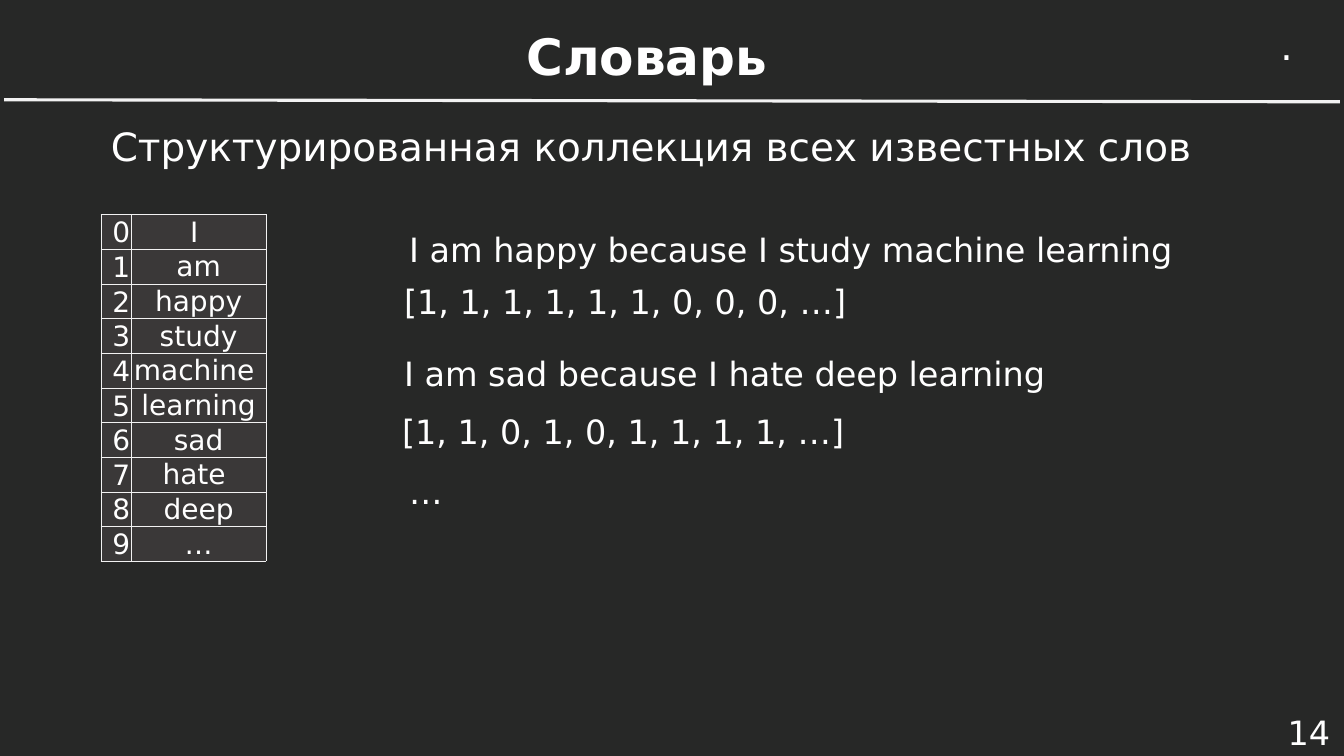
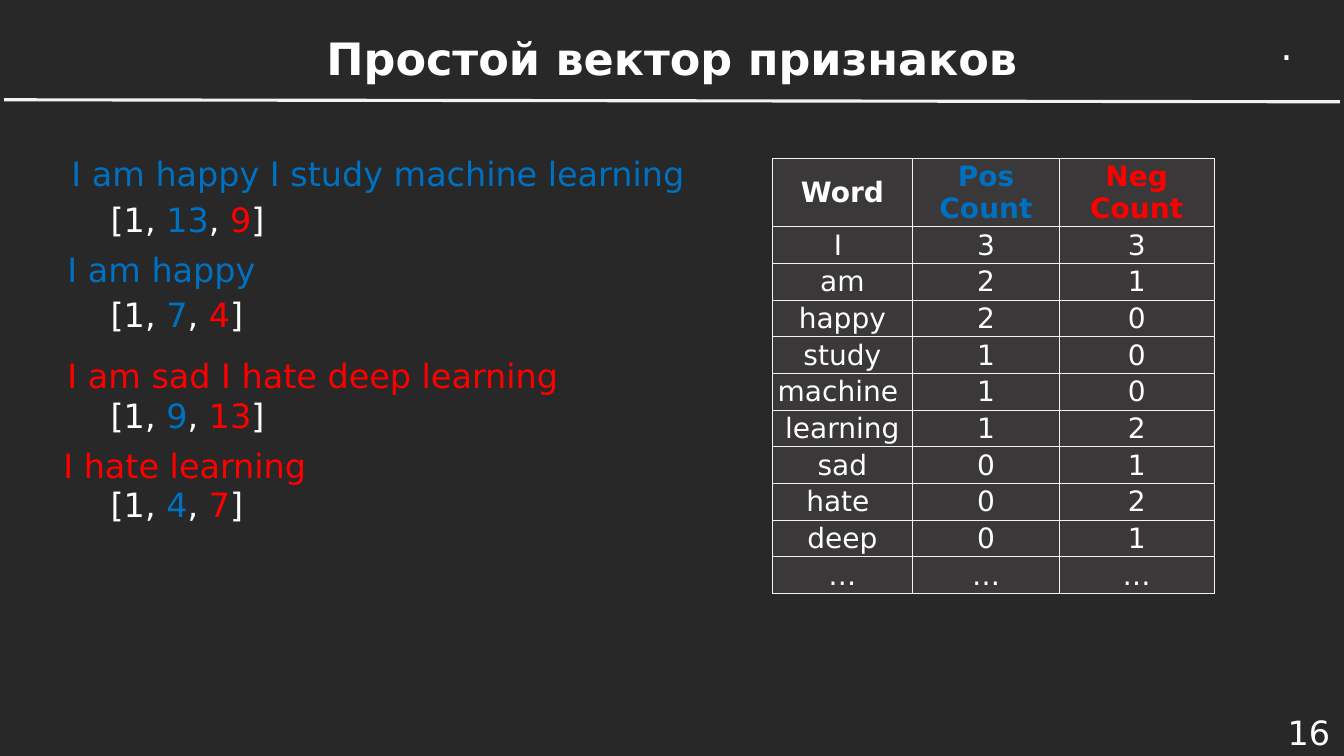
from lxml.etree import SubElement
from pptx import Presentation
from pptx.dml.color import RGBColor
from pptx.enum.shapes import MSO_CONNECTOR as Connector
from pptx.enum.text import MSO_ANCHOR as Anchor, PP_ALIGN as Align
from pptx.oxml.ns import qn
from pptx.util import Inches, Pt

COLORS = {
    "background": "272827",
    "cell": "3A3838",
    "rule": "F2F2F2",
    "text": "FFFFFF",
    "positive": "0070C0",
    "negative": "FF0000",
}
FONT = "DejaVu Sans"
BODY_SIZE, LEAD_SIZE, TABLE_SIZE = 23.9, 27.8, 20
LINE_HEIGHT = 0.5
WORDS = ["I ", "am", "happy", "study", "machine ", "learning",
         "sad", "hate ", "deep", "…"]


def rgb(name):
    return RGBColor.from_string(COLORS[name])


def add_span(para, text, size, color="text", bold=False):
    span = para.add_run()
    span.text = text
    font = span.font
    font.name, font.size, font.bold = FONT, Pt(size), bold
    font.color.rgb = rgb(color)


def add_text(page, box, spans, size=BODY_SIZE, align=Align.LEFT,
             anchor=Anchor.TOP, bold=False, wrap=True):
    """Place one paragraph of (text, colour) spans in a box."""
    frame = page.shapes.add_textbox(*map(Inches, box)).text_frame
    frame.word_wrap = wrap
    frame.vertical_anchor = anchor
    para = frame.paragraphs[0]
    para.alignment = align
    for text, color in spans:
        add_span(para, text, size, color, bold)


def add_page(deck, title, title_box, title_size, number):
    """Add a slide with the shared background, title, rule and number."""
    page = deck.slides.add_slide(deck.slide_layouts[6])
    page.background.fill.solid()
    page.background.fill.fore_color.rgb = rgb("background")
    add_text(page, title_box, [(title, "text")], title_size,
             Align.CENTER, Anchor.MIDDLE, bold=True)
    add_text(page, (12.25, 7.05, 1.04, 0.42), [(number, "text")],
             align=Align.RIGHT, anchor=Anchor.MIDDLE)
    # Rule below the title
    rule = page.shapes.add_connector(
        Connector.STRAIGHT, *map(Inches, (0.04, 0.99, 13.29, 1.01)))
    rule.line.color.rgb = rgb("rule")
    rule.line.width = Pt(2.25)
    SubElement(rule._element.spPr, qn("a:effectLst"))
    # Dot in the corner
    add_text(page, (12.6, 0.17, 0.34, 0.57), [(".", "text")], LEAD_SIZE,
             wrap=False)
    return page


def style_cell(cell, text, color="text", bold=False, align=Align.CENTER,
               anchor=Anchor.MIDDLE):
    cell.margin_left = cell.margin_right = cell.margin_top = Inches(0.01)
    cell.margin_bottom = 0
    cell.vertical_anchor = anchor
    # Borders come before the fill in the cell properties
    properties = cell._tc.get_or_add_tcPr()
    for side in ("a:lnL", "a:lnR", "a:lnT", "a:lnB"):
        border = SubElement(properties, qn(side), w=str(Pt(0.5)))
        paint = SubElement(border, qn("a:solidFill"))
        SubElement(paint, qn("a:srgbClr"), val=COLORS["rule"])
    cell.fill.solid()
    cell.fill.fore_color.rgb = rgb("cell")
    frame = cell.text_frame
    for index, line in enumerate(text.split("\n")):
        para = frame.add_paragraph() if index else frame.paragraphs[0]
        para.alignment = align
        add_span(para, line, TABLE_SIZE, color, bold)


def add_grid(page, left, top, widths, heights):
    """Add an unstyled table with the given column and row sizes."""
    box = (left, top, sum(widths), sum(heights))
    table = page.shapes.add_table(
        len(heights), len(widths), *map(Inches, box)).table
    table.first_row = table.horz_banding = False
    for column, width in zip(table.columns, widths):
        column.width = Inches(width)
    for row, height in zip(table.rows, heights):
        row.height = Inches(height)
    return table


def add_vocabulary(page, left, top, height):
    row_height = height / len(WORDS)
    table = add_grid(page, left, top, [0.3, 1.34], [row_height] * len(WORDS))
    for index, word in enumerate(WORDS):
        style_cell(table.cell(index, 0), str(index), align=Align.RIGHT,
                   anchor=Anchor.BOTTOM)
        style_cell(table.cell(index, 1), word)


def add_counts(page, left, top, height, header_height=0.67):
    headers = [("Word", "text"), ("Pos\nCount", "positive"),
               ("Neg\nCount", "negative")]
    positive, negative = "322111000…", "310002121…"
    row_height = (height - header_height) / len(WORDS)
    table = add_grid(page, left, top, [1.39, 1.46, 1.53],
                     [header_height] + [row_height] * len(WORDS))
    for column, (text, color) in enumerate(headers):
        style_cell(table.cell(0, column), text, color, bold=True)
    for row, values in enumerate(zip(WORDS, positive, negative), 1):
        for column, value in enumerate(values):
            style_cell(table.cell(row, column), value)


def add_vector(page, left, top, positive, negative):
    add_text(page, (left, top, 2.03, LINE_HEIGHT),
             [("[1, ", "text"), (positive, "positive"), (", ", "text"),
              (negative, "negative"), ("]", "text")])


def build_dictionary(deck):
    page = add_page(deck, "Словарь", (2.11, 0.1, 8.61, 0.9), 35.8, "14")
    add_text(page, (1, 1.17, 12.15, 0.57),
             [("Структурированная коллекция всех известных слов", "text")],
             LEAD_SIZE)
    add_vocabulary(page, 1, 2.13, 3.42)
    # Sentences and their encodings
    lines = [
        (3.96, 2.22, "I am happy because I study machine learning"),
        (3.91, 2.74, "[1, 1, 1, 1, 1, 1, 0, 0, 0, …]"),
        (3.91, 3.45, "I am sad because I hate deep learning"),
        (3.89, 4.03, "[1, 1, 0, 1, 0, 1, 1, 1, 1, …]"),
        (3.96, 4.62, "…"),
    ]
    for left, top, text in lines:
        add_text(page, (left, top, 8.46, LINE_HEIGHT), [(text, "text")])


def build_features(deck):
    page = add_page(deck, "Простой вектор признаков",
                    (2.87, 0.12, 7.59, 0.9), 31.8, "16")
    # Each sentence with its feature vector below
    examples = [
        (0.61, 1.47, "I am happy I study machine learning", "positive",
         1.93, "13", "9"),
        (0.57, 2.42, "I am happy", "positive", 2.87, "7", "4"),
        (0.57, 3.47, "I am sad I hate deep learning", "negative",
         3.87, "9", "13"),
        (0.53, 4.37, "I hate learning", "negative", 4.75, "4", "7"),
    ]
    for left, top, text, color, vector_top, positive, negative in examples:
        add_text(page, (left, top, 6.81, LINE_HEIGHT), [(text, color)])
        add_vector(page, 1, vector_top, positive, negative)
    add_counts(page, 7.66, 1.57, 4.31)


def main():
    deck = Presentation()
    deck.slide_width, deck.slide_height = Inches(13.33), Inches(7.5)
    build_dictionary(deck)
    build_features(deck)
    deck.save("out.pptx")


if __name__ == "__main__":
    main()
